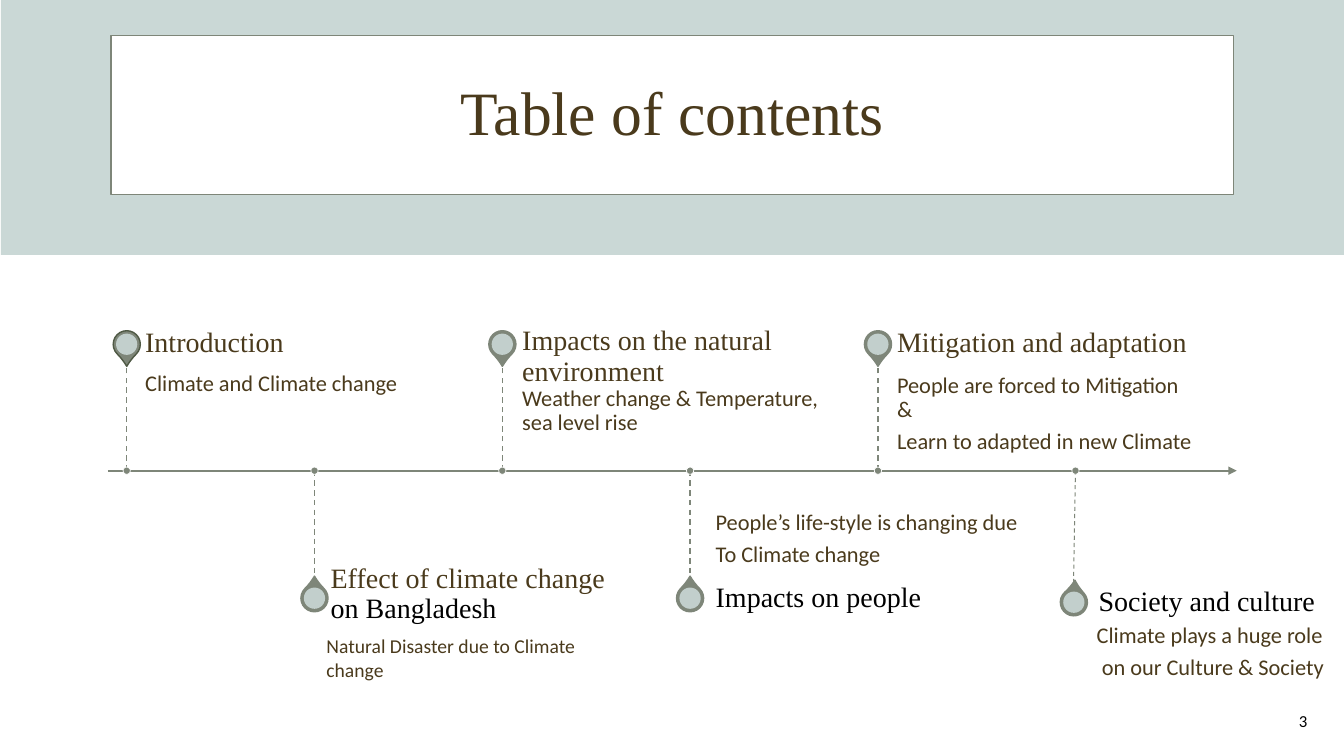
from dataclasses import dataclass

from lxml import etree
from pptx import Presentation
from pptx import util as u
from pptx.dml import color
from pptx.enum import dml, shapes, text
from pptx.oxml import ns

COLORS = {
    "band": "CAD8D6", "white": "FFFFFF", "sage": "7E8679",
    "moss": "4F5945", "brown": "4A3A1C", "black": "000000",
}
SERIF, SANS = "Times New Roman", "Calibri"
TOP, MIDDLE, BOTTOM = (text.MSO_ANCHOR.TOP, text.MSO_ANCHOR.MIDDLE,
                       text.MSO_ANCHOR.BOTTOM)
LEFT, CENTER, RIGHT = text.PP_ALIGN.LEFT, text.PP_ALIGN.CENTER, text.PP_ALIGN.RIGHT

AXIS_Y = 336.2
FIRST_X, STEP_X = 90.5, 134.15
LABEL_WIDTH, HEADING_HEIGHT, DETAIL_HEIGHT = 223.2, 27.4, 77


@dataclass(frozen=True)
class Style:
    font: str
    size: float
    anchor: text.MSO_ANCHOR = MIDDLE
    insets: tuple[float, float, float, float] = (7.2, 3.6, 7.2, 3.6)
    line_spacing: float = 0.9
    space_after: float = 0
    align: text.PP_ALIGN = LEFT


@dataclass(frozen=True)
class Span:
    words: str
    ink: str = "brown"


@dataclass(frozen=True)
class Label:
    left: float
    top: float
    width: float
    height: float
    style: Style
    paras: list[list[Span]]


@dataclass(frozen=True)
class Marker:
    node_x: float
    stem_x: float
    stem_y: float
    pin_x: float
    pin_y: float
    rotation: float
    outline: str = "sage"
    stem_weight: float = 1


TITLE = Style(SERIF, 44, align=CENTER)
NUMBER = Style(SANS, 12, line_spacing=1, align=RIGHT)
HEADING = Style(SERIF, 20, MIDDLE, (0, 0, 10, 0), space_after=7)
DETAIL_ABOVE = Style(SANS, 16, TOP, (0, 8, 8, 12), space_after=5.6)
DETAIL_BELOW = Style(SANS, 16, BOTTOM, (0, 12, 0, 8), space_after=5.6)
LOOSE_HEADING = Style(SERIF, 20, TOP, line_spacing=1)
LOOSE_DETAIL = Style(SANS, 14, TOP, (7.2, 3.6, 12, 3.6), line_spacing=1)


def heading(left: float, top: float, *spans: Span) -> Label:
    return Label(left, top, LABEL_WIDTH, HEADING_HEIGHT, HEADING, [list(spans)])


def detail(left: float, top: float, style: Style, *lines: str,
           width: float = LABEL_WIDTH) -> Label:
    return Label(left, top, width, DETAIL_HEIGHT, style,
                 [[Span(line)] for line in lines])


def grid_marker(index: int) -> Marker:
    """Markers alternate above and below the axis at equal steps."""
    x = FIRST_X + index * STEP_X
    outline = "moss" if index == 0 else "sage"
    if index % 2 == 0:
        return Marker(x, x, 259.2, x, 245.9, 135, outline)
    return Marker(x, x, 414, x, 427.3, 315, outline)


MARKERS = [grid_marker(index) for index in range(5)]
MARKERS.append(Marker(768.2, 766.8, 416.9, 767.1, 430.2, 317.8, stem_weight=0.75))

LABELS = [
    Label(30.2, 30.2, 900, 104.4, TITLE, [[Span("Table of contents")]]),
    Label(725, 500.4, 216, 28.8, NUMBER, [[Span("3", "black")]]),
    heading(103.7, 231.8, Span("Introduction")),
    detail(103.7, 259.2, DETAIL_ABOVE, "Climate and Climate change"),
    heading(236.2, 411.1, Span("Effect of climate change "),
            Span("on Bangladesh", "black")),
    Label(226.1, 449.3, 232.6, 41, LOOSE_DETAIL,
          [[Span("Natural Disaster due to Climate change")]]),
    heading(373, 241.2, Span("Impacts on the natural environment")),
    detail(373, 268.6, DETAIL_ABOVE, "Weather change & Temperature, sea level rise"),
    heading(511.2, 414, Span("Impacts on people", "black")),
    detail(511.2, AXIS_Y, DETAIL_BELOW,
           "People’s life-style is changing due", "To Climate change"),
    heading(640.8, 231.8, Span("Mitigation and adaptation")),
    detail(640.8, 259.2, DETAIL_ABOVE,
           "People are forced to Mitigation &", "Learn to adapted in new Climate"),
    Label(777.6, 413.3, 172.1, 31.7, LOOSE_HEADING,
          [[Span("Society and culture", "black")]]),
    detail(783.4, 416.9, DETAIL_BELOW,
           "Climate plays a huge role", " on our Culture & Society", width=174),
]


def rgb(name: str) -> color.RGBColor:
    return color.RGBColor.from_string(COLORS[name])


def add_figure(page, kind, left: float, top: float, width: float, height: float,
               fill: str, outline: str | None = None, weight: float = 1):
    figure = page.shapes.add_shape(kind, u.Pt(left), u.Pt(top),
                                   u.Pt(width), u.Pt(height))
    figure.shadow.inherit = False
    figure.fill.solid()
    figure.fill.fore_color.rgb = rgb(fill)
    if outline:
        figure.line.color.rgb = rgb(outline)
        figure.line.width = u.Pt(weight)
    else:
        figure.line.fill.background()
    return figure


def add_disc(page, x: float, y: float, size: float, fill: str,
             outline: str | None = None, weight: float = 1,
             kind=shapes.MSO_SHAPE.OVAL):
    return add_figure(page, kind, x - size / 2, y - size / 2, size, size,
                      fill, outline, weight)


def add_line(page, x1: float, y1: float, x2: float, y2: float, weight: float):
    line = page.shapes.add_connector(shapes.MSO_CONNECTOR.STRAIGHT,
                                     u.Pt(x1), u.Pt(y1), u.Pt(x2), u.Pt(y2))
    line.line.color.rgb = rgb("sage")
    line.line.width = u.Pt(weight)
    etree.SubElement(line._element.spPr, ns.qn("a:effectLst"))
    return line


def add_marker(page, marker: Marker) -> None:
    stem = add_line(page, marker.node_x, AXIS_Y, marker.stem_x, marker.stem_y,
                    marker.stem_weight)
    stem.line.dash_style = dml.MSO_LINE.DASH
    add_disc(page, marker.node_x, AXIS_Y, 5.2, "sage", "white", 0.5)
    pin = add_disc(page, marker.pin_x, marker.pin_y, 19.4, "sage", marker.outline,
                   kind=shapes.MSO_SHAPE.TEAR)
    pin.adjustments[0] = 1.15
    pin.rotation = marker.rotation
    core = add_disc(page, marker.pin_x, marker.pin_y, 15.2, "band")
    tint = core._element.spPr.find(".//" + ns.qn("a:srgbClr"))
    etree.SubElement(tint, ns.qn("a:alpha"), val="90000")


def add_label(page, label: Label) -> None:
    style = label.style
    box = page.shapes.add_textbox(u.Pt(label.left), u.Pt(label.top),
                                  u.Pt(label.width), u.Pt(label.height))
    frame = box.text_frame
    frame.word_wrap = True
    frame.vertical_anchor = style.anchor
    (frame.margin_left, frame.margin_top,
     frame.margin_right, frame.margin_bottom) = map(u.Pt, style.insets)
    for index, spans in enumerate(label.paras):
        para = frame.add_paragraph() if index else frame.paragraphs[0]
        para.alignment = style.align
        para.line_spacing = style.line_spacing
        para.space_after = u.Pt(style.space_after)
        for span in spans:
            run = para.add_run()
            run.text = span.words
            run.font.name = style.font
            run.font.size = u.Pt(style.size)
            run.font.color.rgb = rgb(span.ink)


def main() -> None:
    deck = Presentation()
    deck.slide_width, deck.slide_height = u.Pt(960), u.Pt(540)
    page = deck.slides.add_slide(deck.slide_layouts[6])

    # Title band and frame
    add_figure(page, shapes.MSO_SHAPE.RECTANGLE, 0.7, 0, 959.3, 182, "band")
    add_figure(page, shapes.MSO_SHAPE.RECTANGLE, 79.2, 25.2, 802, 113.8,
               "white", "sage")

    # Timeline axis with arrowhead
    axis = add_line(page, 77, AXIS_Y, 883.4, AXIS_Y, 1.5)
    etree.SubElement(axis.line._get_or_add_ln(), ns.qn("a:tailEnd"), type="triangle")

    # Pins, then all text
    for marker in MARKERS:
        add_marker(page, marker)
    for label in LABELS:
        add_label(page, label)

    deck.save("out.pptx")


if __name__ == "__main__":
    main()
